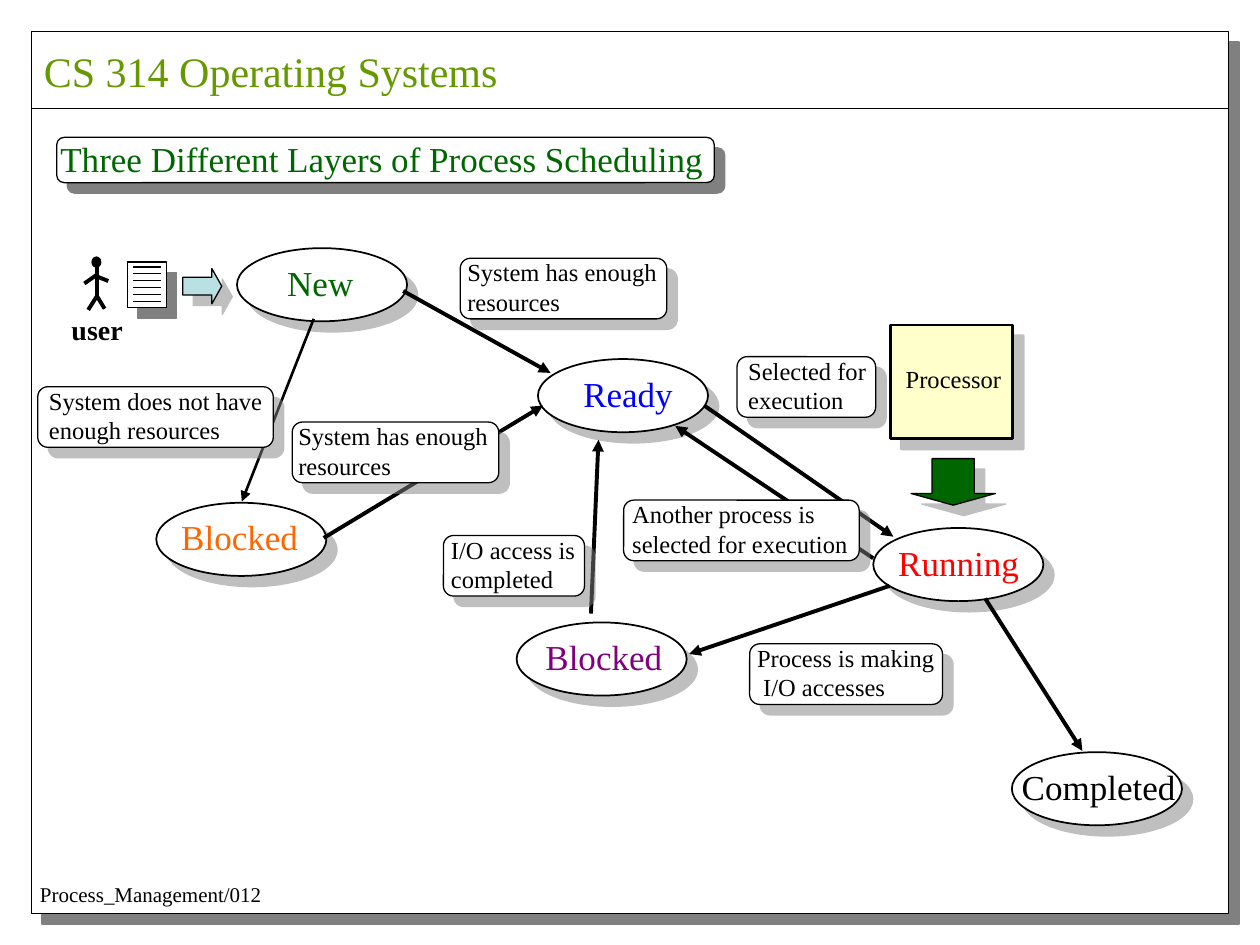
from lxml.etree import SubElement
from pptx import Presentation
from pptx.dml.color import RGBColor
from pptx.enum.shapes import MSO_CONNECTOR, MSO_SHAPE
from pptx.enum.text import MSO_AUTO_SIZE
from pptx.oxml.ns import qn
from pptx.util import Pt

rgb = RGBColor.from_string

prs = Presentation()
prs.slide_width, prs.slide_height = Pt(720), Pt(540)
s = prs.slides.add_slide(prs.slide_layouts[6])


def add_text(text, x, y, w, h, size=14, color="000000", bold=False):
    tf = s.shapes.add_textbox(Pt(x), Pt(y), Pt(w), Pt(h)).text_frame
    tf.word_wrap = True
    tf.auto_size = MSO_AUTO_SIZE.NONE
    tf.margin_right = Pt(0)
    for i, row in enumerate(text.split("\n")):
        p = tf.add_paragraph() if i else tf.paragraphs[0]
        r = p.add_run()
        r.text = row
        r.font.name = "Times New Roman"
        r.font.size = Pt(size)
        r.font.bold = bold
        r.font.color.rgb = rgb(color)


def add_box(preset, x, y, w, h, fill="FFFFFF", width=0.75, shadow=50, adj=()):
    sp = s.shapes.add_shape(preset, Pt(x), Pt(y), Pt(w), Pt(h))
    for i, value in enumerate(adj):
        sp.adjustments[i] = value
    sp.fill.solid()
    sp.fill.fore_color.rgb = rgb(fill)
    sp.line.color.rgb = rgb("000000")
    sp.line.width = Pt(width)
    sp.shadow.inherit = False
    if shadow:
        effects = sp._element.spPr.find(qn("a:effectLst"))
        outer = SubElement(effects, qn("a:outerShdw"), dist=str(Pt(8.5)),
                           dir="2700000", algn="ctr", rotWithShape="0")
        clr = SubElement(outer, qn("a:srgbClr"), val="808080")
        SubElement(clr, qn("a:alpha"), val=str(shadow * 1000))


add_box(MSO_SHAPE.RECTANGLE, 18, 18, 684, 504, shadow=100)
add_text("Process_Management/012", 15.8, 500.4, 141.1, 21.6, size=12)
add_text("CS 314 Operating Systems", 18, 22.3, 273.6, 36, size=24, color="669900")

add_box(MSO_SHAPE.ROUNDED_RECTANGLE, 32.4, 78.5, 375.8, 25.9, shadow=100)
add_text("Three Different Layers of Process Scheduling", 27.4, 74.9, 382.3, 31.7,
         size=20, color="006600")

add_box(MSO_SHAPE.OVAL, 52.6, 146.9, 5, 5.8, fill="000000", shadow=0)
add_text("user", 33.8, 175, 43.2, 26.6, size=16, bold=True)
add_box(MSO_SHAPE.RECTANGLE, 72.7, 149.8, 22.3, 25.9, shadow=100)
add_box(MSO_SHAPE.RIGHT_ARROW, 104.4, 153.4, 22.3, 20.2, fill="BBE0E3", adj=(0.5, 0.28))

add_box(MSO_SHAPE.RECTANGLE, 509, 185.8, 69.8, 64.8, fill="FFFFCC", width=1.5)
add_text("Processor", 510.5, 204.5, 69.1, 24.5)
add_box(MSO_SHAPE.DOWN_ARROW, 520.6, 262.1, 48.2, 26.6, fill="006600", adj=(0.5, 0.25))

states = [
    ("New", 135.4, 141.8, 157, 51.8, "006600"),
    ("Ready", 307.4, 205.2, 326.2, 65.5, "0000FF"),
    ("Blocked", 89.3, 287.3, 96.5, 81.4, "FF6600"),
    ("Blocked", 295.2, 355.7, 304.6, 81.4, "800080"),
    ("Running", 499, 301.7, 506.2, 83.5, "FF0000"),
    ("Completed", 578.2, 429.8, 576.7, 102.2, "000000"),
]
for name, x, y, text_x, text_w, color in states:
    add_box(MSO_SHAPE.OVAL, x, y, 97.2, 41.8, width=1)
    add_text(name, text_x, y + 4, text_w, 31.7, size=20, color=color)

rules = [(18, 61.9, 702, 61.9)]
rules += [(76.3, 152.6 + 3.9 * i, 92.2, 152.6 + 3.9 * i) for i in range(6)]
limbs = [
    (55.4, 150.5, 55.4, 169.2),
    (55.4, 169.2, 50.4, 177.1),
    (55.4, 169.2, 59.8, 176.4),
    (55.4, 157, 48.2, 162),
    (54.7, 157.7, 61.9, 160.6),
]
transitions = [
    (230.4, 166.3, 314.6, 213.1),
    (508.3, 334.8, 393.8, 373.7),
    (402.5, 231.8, 510.5, 306.7),
    (499, 319, 385.9, 243.4),
    (337.7, 350.6, 342, 251.3),
    (185, 307.4, 310.3, 231.8),
    (563, 342, 618.5, 429.1),
]
rejection = [(179.3, 182.2, 138.2, 286.6)]
for lines, width, arrow in [(rules, 0.75, False), (limbs, 2.25, False),
                            (transitions, 2.25, True), (rejection, 1.5, True)]:
    for ends in lines:
        cx = s.shapes.add_connector(MSO_CONNECTOR.STRAIGHT, *[Pt(v) for v in ends])
        cx.line.color.rgb = rgb("000000")
        cx.line.width = Pt(width)
        if arrow:
            SubElement(cx.line._get_or_add_ln(), qn("a:tailEnd"), type="triangle")
        SubElement(cx._element.spPr, qn("a:effectLst"))

labels = [
    ("System has enough\nresources", 263, 147.6, 118, 260, 122.4),
    ("Process is making\n I/O accesses", 428.4, 367.9, 110.2, 425.5, 115.9),
    ("Selected for\nexecution", 421.2, 203.8, 79.2, 420.5, 81.4),
    ("Another process is\nselected for execution", 356.4, 285.8, 134.6, 354.2, 137.5),
    ("I/O access is\ncompleted", 253.4, 306, 80.6, 250.6, 85),
    ("System has enough\nresources", 167, 241.2, 118, 163.4, 122.4),
    ("System does not have\nenough resources", 21.6, 221, 134.6, 20.9, 139.7),
]
for text, x, y, w, text_x, text_w in labels:
    add_box(MSO_SHAPE.ROUNDED_RECTANGLE, x, y, w, 34.6)
    add_text(text, text_x, y - 4, text_w, 41)

prs.save("out.pptx")
